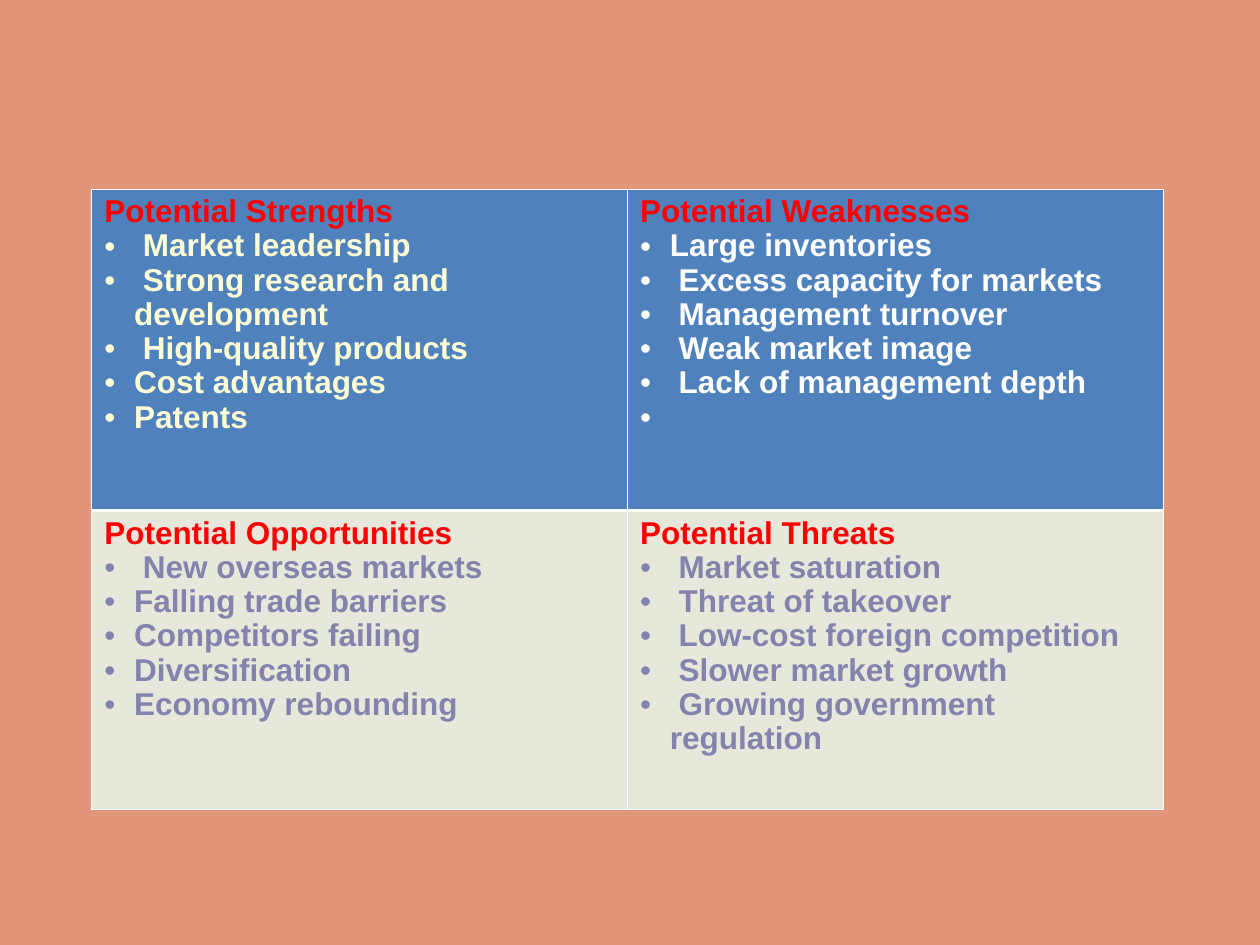
from lxml import etree
from pptx import Presentation
from pptx.dml.color import RGBColor
from pptx.oxml.ns import qn
from pptx.util import Cm, Pt

SALMON = RGBColor(0xE1, 0x95, 0x7A)
BLUE = RGBColor(0x4F, 0x81, 0xBD)
SAND = RGBColor(0xE7, 0xE8, 0xDB)
RED = RGBColor(0xFF, 0x00, 0x00)
CREAM = RGBColor(0xFE, 0xFE, 0xD6)
WHITE = RGBColor(0xFF, 0xFF, 0xFF)
MAUVE = RGBColor(0x83, 0x83, 0xAD)

FONT = "Arial"
SIZE = Pt(18)
SPACING = 0.97
INDENT = Cm(0.6)
THIN, THICK = Pt(0.45), Pt(1.47)
HEIGHTS = [Cm(6.48), Cm(6.02)]
WIDTH = Cm(10.8)

# Each row: fill, then a heading, list colour and items for each cell
ROWS = [
    (BLUE, [
        ("Potential Strengths", CREAM, [
            " Market leadership", " Strong research and development",
            " High-quality products", "Cost advantages", "Patents"]),
        ("Potential Weaknesses", WHITE, [
            "Large inventories", " Excess capacity for markets",
            " Management turnover", " Weak market image",
            " Lack of management depth", " "]),
    ]),
    (SAND, [
        ("Potential Opportunities", MAUVE, [
            " New overseas markets", "Falling trade barriers",
            "Competitors failing", "Diversification",
            "Economy rebounding"]),
        ("Potential Threats", MAUVE, [
            " Market saturation", " Threat of takeover",
            " Low-cost foreign competition", " Slower market growth",
            " Growing government regulation"]),
    ]),
]


def add_fill(parent, color):
    fill = etree.SubElement(parent, qn("a:solidFill"))
    etree.SubElement(fill, qn("a:srgbClr"), val=str(color))


def add_edges(cell, top, bottom):
    props = cell._tc.get_or_add_tcPr()
    edges = {"lnL": THIN, "lnR": THIN, "lnT": top, "lnB": bottom}
    for tag, width in edges.items():
        line = etree.SubElement(props, qn(f"a:{tag}"), w=str(int(width)))
        add_fill(line, WHITE)


def add_bullet(para, color):
    props = para._p.get_or_add_pPr()
    props.set("marL", str(int(INDENT)))
    props.set("indent", str(-int(INDENT)))
    tint = etree.SubElement(props, qn("a:buClr"))
    etree.SubElement(tint, qn("a:srgbClr"), val=str(color))
    etree.SubElement(props, qn("a:buFont"), typeface=FONT)
    etree.SubElement(props, qn("a:buChar"), char="•")


def style_text(para, color):
    para.line_spacing = SPACING
    for run in para.runs:
        run.font.name = FONT
        run.font.size = SIZE
        run.font.bold = True
        run.font.color.rgb = color


def fill_cell(cell, head, color, items):
    frame = cell.text_frame
    frame.text = "\n".join([head] + items)
    title, *points = frame.paragraphs
    style_text(title, RED)
    for point in points:
        add_bullet(point, color)
        style_text(point, color)


def add_grid(slide):
    frame = slide.shapes.add_table(2, 2, Cm(1.85), Cm(3.81),
                                   2 * WIDTH, sum(HEIGHTS))
    table = frame.table
    for col in table.columns:
        col.width = WIDTH
    for r, (back, cells) in enumerate(ROWS):
        table.rows[r].height = HEIGHTS[r]
        # The rule between the two rows is the thick one
        top, bottom = (THIN, THICK) if r == 0 else (THICK, THIN)
        for c, (head, color, items) in enumerate(cells):
            cell = table.cell(r, c)
            add_edges(cell, top, bottom)
            cell.fill.solid()
            cell.fill.fore_color.rgb = back
            fill_cell(cell, head, color, items)


def main():
    deck = Presentation()
    deck.slide_width, deck.slide_height = Cm(25.4), Cm(19.05)
    slide = deck.slides.add_slide(deck.slide_layouts[6])

    # Background
    back = slide.background.fill
    back.solid()
    back.fore_color.rgb = SALMON

    # SWOT table
    add_grid(slide)
    deck.save("out.pptx")


if __name__ == "__main__":
    main()
